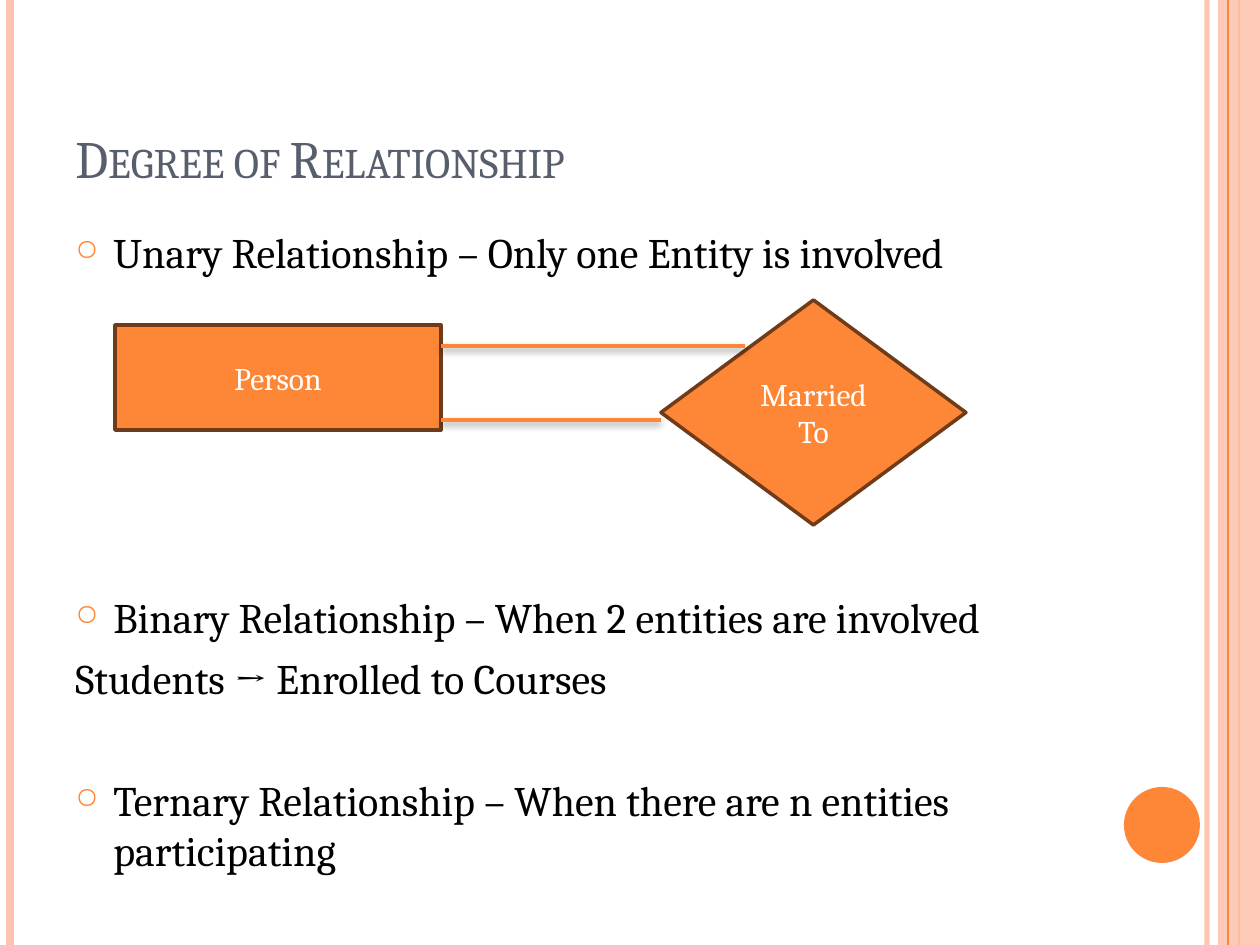
import pptx
import pptx.dml.color
import pptx.enum.shapes
import pptx.enum.text
import pptx.oxml
import pptx.oxml.ns
import pptx.util

PX_PER_INCH = 126
PAGE_WIDTH, PAGE_HEIGHT = 1260, 945
ORANGE, PEACH, BROWN = "FE8637", "FEC3AE", "6F3B18"
SLATE, BLACK, WHITE = "575F6D", "000000", "FFFFFF"

SHAPES = pptx.enum.shapes.MSO_SHAPE
ANCHOR = pptx.enum.text.MSO_ANCHOR
ALIGN = pptx.enum.text.PP_ALIGN


def px(length):
    return pptx.util.Emu(round(length * pptx.util.Inches(1) / PX_PER_INCH))


def rgb(color):
    return pptx.dml.color.RGBColor.from_string(color)


def xml(tag, inner=""):
    """Parse one drawing element; tag may carry attributes."""
    name = tag.split()[0]
    namespace = pptx.oxml.ns.nsdecls("a")
    return pptx.oxml.parse_xml(f"<a:{tag} {namespace}>{inner}</a:{name}>")


def set_alpha(paint, percent):
    """Make a solid fill element translucent."""
    paint.find(".//" + pptx.oxml.ns.qn("a:srgbClr")).append(
        xml(f'alpha val="{percent * 1000}"'))


class SlideBuilder:
    font_name = "Cambria"
    shadow = ('<a:outerShdw blurRad="50800" dist="25400" dir="5400000" rotWithShape="0">'
              '<a:srgbClr val="000000"><a:alpha val="40000"/></a:srgbClr></a:outerShdw>')

    def __init__(self, page):
        self.page = page

    def style(self, para, size, color):
        para.font.name = self.font_name
        para.font.size = pptx.util.Pt(size)
        para.font.color.rgb = rgb(color)

    def line(self, start, end, color, width, alpha=100, shadow=False):
        line = self.page.shapes.add_connector(
            pptx.enum.shapes.MSO_CONNECTOR.STRAIGHT, *map(px, start + end))
        line.line.color.rgb = rgb(color)
        line.line.width = pptx.util.Pt(width)
        properties = line._element.spPr
        if alpha < 100:
            set_alpha(properties, alpha)
        properties.append(xml("effectLst", self.shadow if shadow else ""))

    def rule(self, x, color, width, alpha=100):
        """Draw a line over the full page height."""
        self.line((x, 0), (x, PAGE_HEIGHT), color, width, alpha)

    def shape(self, kind, bounds, fill, outline=None, label="", alpha=100):
        shape = self.page.shapes.add_shape(kind, *map(px, bounds))
        shape.shadow.inherit = False
        shape.fill.solid()
        shape.fill.fore_color.rgb = rgb(fill)
        if alpha < 100:
            set_alpha(shape._element.spPr, alpha)
        if outline:
            shape.line.color.rgb = rgb(outline)
            shape.line.width = pptx.util.Pt(2)
        else:
            shape.line.fill.background()
        if label:
            shape.text_frame.vertical_anchor = ANCHOR.MIDDLE
            para = shape.text_frame.paragraphs[0]
            para.text = label
            para.alignment = ALIGN.CENTER
            self.style(para, 18, WHITE)

    def text_frame(self, bounds, anchor):
        frame = self.page.shapes.add_textbox(*map(px, bounds)).text_frame
        frame.word_wrap = True
        frame.vertical_anchor = anchor
        return frame

    def title(self, bounds, text):
        para = self.text_frame(bounds, ANCHOR.BOTTOM).paragraphs[0]
        para.text = text
        self.style(para, 30, SLATE)
        para.font._element.set("cap", "small")

    def body(self, bounds, items):
        """Write (text, space before in points, bulleted) items."""
        frame = self.text_frame(bounds, ANCHOR.TOP)
        for index, (text, space, bulleted) in enumerate(items):
            para = frame.add_paragraph() if index else frame.paragraphs[0]
            para.text = text
            para.space_before = pptx.util.Pt(space)
            self.style(para, 24, BLACK)
            if bulleted:
                self.bullet(para)

    def bullet(self, para):
        properties = para._p.get_or_add_pPr()
        indent = px(38)
        properties.set("marL", str(indent))
        properties.set("indent", str(-indent))
        for element in (xml("buClr", f'<a:srgbClr val="{ORANGE}"/>'),
                        xml('buSzPct val="70000"'),
                        xml('buChar char="○"')):
            para.font._element.addprevious(element)


def main():
    deck = pptx.Presentation()
    deck.slide_width, deck.slide_height = px(PAGE_WIDTH), px(PAGE_HEIGHT)
    builder = SlideBuilder(deck.slides.add_slide(deck.slide_layouts[6]))

    builder.rule(1207, PEACH, 3, alpha=93)
    builder.rule(10, PEACH, 4.5)
    builder.rule(1239, ORANGE, 1.5)
    builder.shape(SHAPES.RECTANGLE, (1218, 0, 42, PAGE_HEIGHT), PEACH, alpha=87)
    builder.rule(1228, ORANGE, 0.75)
    builder.shape(SHAPES.OVAL, (1124, 787, 76, 76), ORANGE)

    builder.title((63, 38, 1029, 157), "Degree of Relationship")
    gap, line_step = 6, 34.8
    builder.body((63, 220, 1029, 672), [
        ("Unary Relationship – Only one Entity is involved", gap, True),
        ("Binary Relationship – When 2 entities are involved", gap + 5 * line_step, True),
        ("Students → Enrolled to Courses", gap, False),
        ("Ternary Relationship – When there are n entities participating",
         gap + line_step, True),
    ])

    builder.shape(SHAPES.RECTANGLE, (115, 325, 326, 105), ORANGE, BROWN, "Person")
    builder.shape(SHAPES.DIAMOND, (661, 300, 305, 225), ORANGE, BROWN, "Married To")
    for y, end in ((346, 745), (420, 661)):
        builder.line((441, y), (end, y), ORANGE, 2, shadow=True)

    deck.save("out.pptx")


if __name__ == "__main__":
    main()
